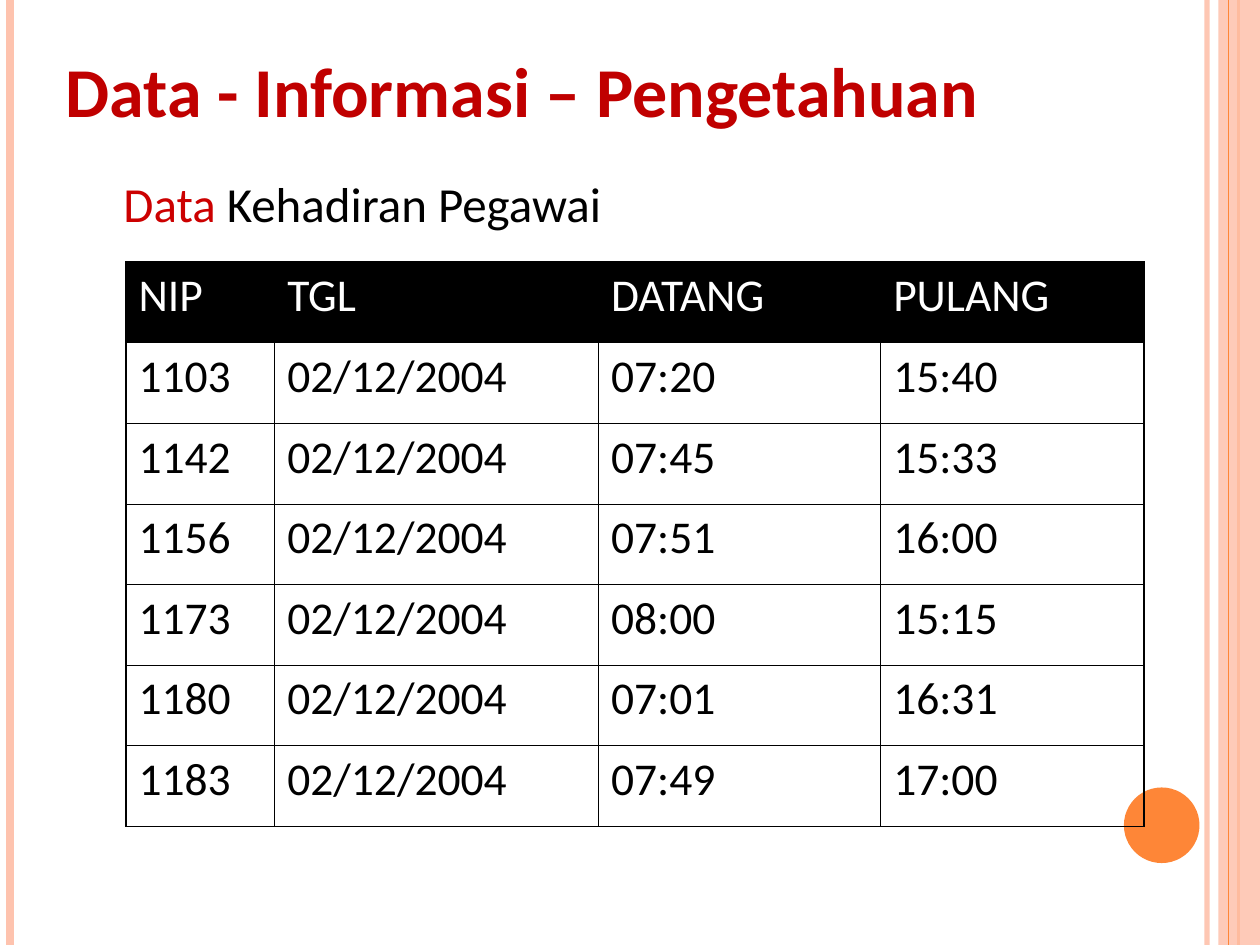
from lxml import etree
from pptx import Presentation
from pptx.dml.color import RGBColor
from pptx.enum.shapes import MSO_CONNECTOR, MSO_SHAPE
from pptx.enum.text import MSO_ANCHOR, MSO_AUTO_SIZE, PP_ALIGN
from pptx.oxml.ns import qn
from pptx.util import Inches, Pt

LINE, RECT, OVAL = MSO_CONNECTOR.STRAIGHT, MSO_SHAPE.RECTANGLE, MSO_SHAPE.OVAL
TOP, BOTTOM, LEFT = MSO_ANCHOR.TOP, MSO_ANCHOR.BOTTOM, PP_ALIGN.LEFT
FIXED = MSO_AUTO_SIZE.NONE

THEME = {
    "font": "Calibri", "title": 40, "body": 28, "cell": 26,
    "crimson": "C00000", "red": "CC0000", "black": "000000", "white": "FFFFFF",
    "peach": "FEC3AE", "orange": "FE8637", "thin": 0.45, "thick": 1.08,
}
TITLE = [("Data - Informasi – Pengetahuan", "crimson")]
BODY = [("Data", "red"), (" Kehadiran Pegawai", "black")]
HEAD = ("NIP", "TGL", "DATANG", "PULANG")
DAY = "02/12/2004"
TIMES = [
    ("1103", "07:20", "15:40"),
    ("1142", "07:45", "15:33"),
    ("1156", "07:51", "16:00"),
    ("1173", "08:00", "15:15"),
    ("1180", "07:01", "16:31"),
    ("1183", "07:49", "17:00"),
]
ROWS = [HEAD] + [(nip, DAY, start, end) for nip, start, end in TIMES]
COLS = (1.18, 2.57, 2.24, 2.09)
ROW_H = 0.64
DECOR = [
    ("line", 9.58, "peach", 3, 93),
    ("line", 0.08, "peach", 4.5, 100),
    ("line", 9.83, "orange", 1.5, 100),
    (RECT, (9.67, 0, 0.33, 7.5), "peach", 0, 87),
    ("line", 9.75, "orange", 0.75, 100),
    (OVAL, (8.92, 6.25, 0.6, 0.6), "orange", 0, 100),
]


def tint(name):
    return RGBColor.from_string(THEME[name])


def fade(item, pct):
    if pct < 100:
        clr = next(item._element.spPr.iter(qn("a:srgbClr")))
        etree.SubElement(clr, qn("a:alpha"), val=str(pct * 1000))


def write(para, runs, size, bold=False):
    para.alignment = LEFT
    para.space_before = Pt(0)
    for text, color in runs:
        run = para.add_run()
        run.text = text
        font = run.font
        font.name, font.size, font.bold = THEME["font"], Pt(THEME[size]), bold
        font.color.rgb = tint(color)


def place(holder, box, anchor):
    holder.left, holder.top, holder.width, holder.height = map(Inches, box)
    frame = holder.text_frame
    frame.word_wrap, frame.auto_size = True, FIXED
    frame.vertical_anchor = anchor
    return frame.paragraphs[0]


def adorn(slide):
    for kind, spot, color, width, pct in DECOR:
        if kind == "line":
            x = Inches(spot)
            item = slide.shapes.add_connector(LINE, x, 0, x, Inches(7.5))
            item.line.color.rgb = tint(color)
            item.line.width = Pt(width)
            etree.SubElement(item._element.spPr, qn("a:effectLst"))
        else:
            item = slide.shapes.add_shape(kind, *map(Inches, spot))
            item.shadow.inherit = False
            item.fill.solid()
            item.fill.fore_color.rgb = tint(color)
            item.line.fill.background()
        fade(item, pct)


def edge(cell, row, col):
    outer = {"L": col == 0, "R": col == len(COLS) - 1,
             "T": row == 0, "B": row == len(ROWS) - 1}
    props = cell._tc.get_or_add_tcPr()
    for side, thick in outer.items():
        width = Pt(THEME["thick" if thick else "thin"])
        line = etree.SubElement(props, qn("a:ln" + side), w=str(int(width)))
        fill = etree.SubElement(line, qn("a:solidFill"))
        etree.SubElement(fill, qn("a:srgbClr"), val=THEME["black"])


def tabulate(slide):
    size = sum(COLS), ROW_H * len(ROWS)
    frame = slide.shapes.add_table(len(ROWS), len(COLS), *map(Inches, (1, 2.08, *size)))
    table = frame.table
    table.horz_banding = False
    for col, width in zip(table.columns, COLS):
        col.width = Inches(width)
    for r, row in enumerate(ROWS):
        table.rows[r].height = Inches(ROW_H)
        for c, text in enumerate(row):
            cell = table.cell(r, c)
            edge(cell, r, c)
            if r == 0:
                cell.fill.solid()
                cell.fill.fore_color.rgb = tint("black")
            else:
                cell.fill.background()
            ink = "white" if r == 0 else "black"
            write(cell.text_frame.paragraphs[0], [(text, ink)], "cell")


def main():
    deck = Presentation()
    deck.slide_width, deck.slide_height = Inches(10), Inches(7.5)
    slide = deck.slides.add_slide(deck.slide_layouts[1])
    title, body = slide.placeholders
    adorn(slide)
    for holder in (title, body):
        slide.shapes._spTree.append(holder._element)
    write(place(title, (0.42, 0.17, 9.17, 0.92), BOTTOM), TITLE, "title", True)
    para = place(body, (0.5, 1.33, 8.92, 1), TOP)
    props = para._p.get_or_add_pPr()
    props.set("marL", str(int(Inches(0.38))))
    props.set("indent", "0")
    etree.SubElement(props, qn("a:buNone"))
    write(para, BODY, "body")
    tabulate(slide)
    deck.save("out.pptx")


if __name__ == "__main__":
    main()
